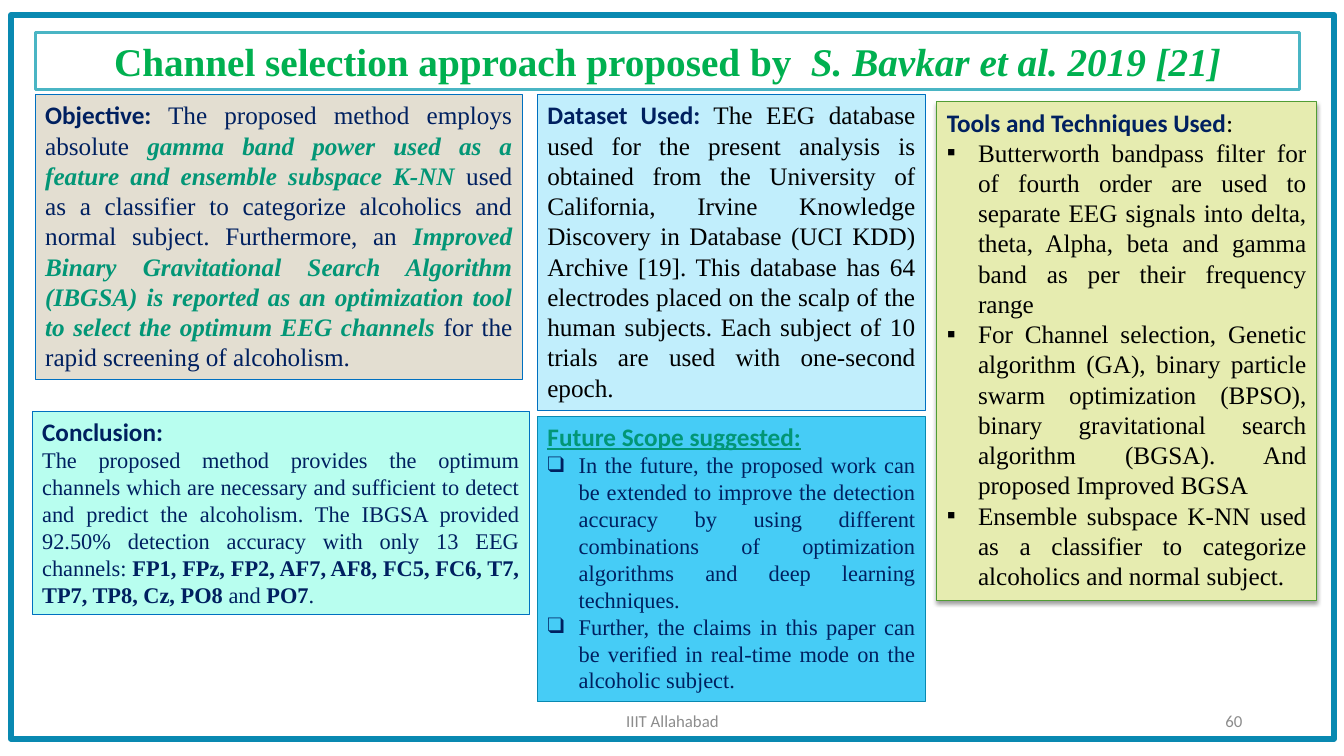
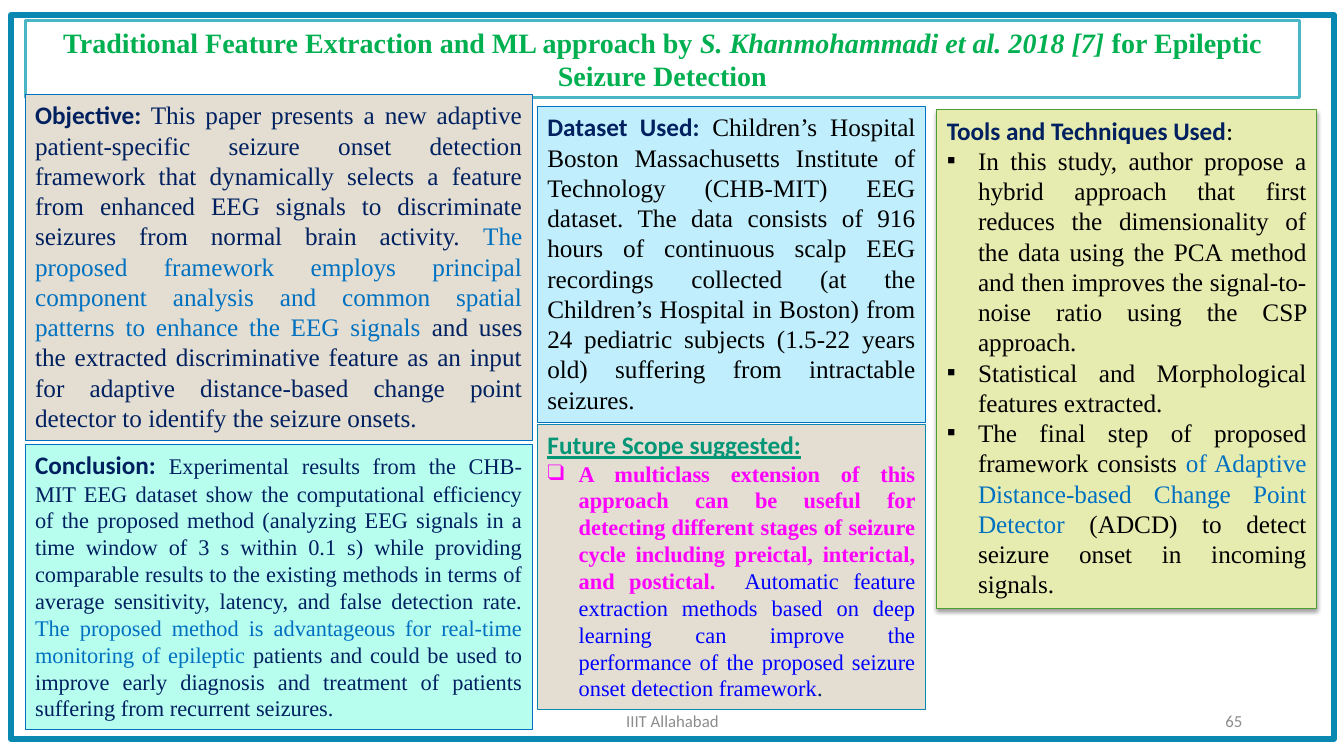
from lxml import etree
from pptx import Presentation
from pptx.dml.color import RGBColor
from pptx.enum.shapes import MSO_SHAPE
from pptx.enum.text import MSO_ANCHOR, MSO_AUTO_SIZE, PP_ALIGN
from pptx.oxml.ns import qn
from pptx.util import Pt

RECTANGLE = MSO_SHAPE.RECTANGLE
TOP, MIDDLE = MSO_ANCHOR.TOP, MSO_ANCHOR.MIDDLE
FIXED = MSO_AUTO_SIZE.NONE
LEFT, CENTER, RIGHT, JUSTIFY = (
    PP_ALIGN.LEFT, PP_ALIGN.CENTER, PP_ALIGN.RIGHT, PP_ALIGN.JUSTIFY)

# Shared scale, fonts and colours
PX = 9144  # 100 px to the inch
TWO_CONTENT_LAYOUT = 3
SERIF, SANS = "Times New Roman", "Calibri"
HEADING_SIZE, SMALL_SIZE, FOOTER_SIZE = 18, 16, 12
LIST_INDENT = 31
SQUARE, CHECKBOX = "▪", "❑"
BLACK, NAVY, BLUE, GREEN = "000000", "002060", "0070C0", "029676"
MAGENTA, BRIGHT_BLUE, GRAY = "FF00FF", "0000FF", "8C8C8C"
TITLE_GREEN, TITLE_LINE, FRAME_BLUE = "00B050", "4AB5C4", "0989B1"
SAND, ICE, MINT, SKY = "E3DED1", "C1EEFC", "B8FEEF", "46CCF6"
LIME, LIME_LINE = "E6ECB0", "519D35"

# Shared columns: left and width
MIDDLE_COLUMN, RIGHT_COLUMN = (533, 385), (929, 377)


def rgb(color):
    return RGBColor.from_string(color)


# Text pieces: (text, font, size, colour, flags), flags from b, i and u
def heading(text, color=NAVY, flags="b"):
    return text, SANS, HEADING_SIZE, color, flags


def prose(text, color=NAVY, flags="", size=HEADING_SIZE):
    return text, SERIF, size, color, flags


def small(text, color=NAVY, flags=""):
    return prose(text, color, flags, SMALL_SIZE)


def set_bullet(paragraph, character):
    properties = paragraph._p.get_or_add_pPr()
    indent = LIST_INDENT * PX if character else 0
    properties.set("marL", str(indent))
    properties.set("indent", str(-indent))
    if character:
        etree.SubElement(properties, qn("a:buFont")).set("typeface", SERIF)
        etree.SubElement(properties, qn("a:buChar")).set("char", character)
    else:
        etree.SubElement(properties, qn("a:buNone"))


def add_paragraph(frame, index, pieces, alignment, bullet=None):
    paragraph = frame.add_paragraph() if index else frame.paragraphs[0]
    set_bullet(paragraph, bullet)
    paragraph.alignment = alignment
    paragraph.space_before = Pt(0)
    for text, font, size, color, flags in pieces:
        run = paragraph.add_run()
        run.text = text
        run.font.name = font
        run.font.size = Pt(size)
        run.font.color.rgb = rgb(color)
        run.font.bold = "b" in flags
        run.font.italic = "i" in flags
        run.font.underline = "u" in flags


def place(shape, box):
    shape.left, shape.top, shape.width, shape.height = (
        length * PX for length in box)


def set_line(shape, color, width):
    shape.line.color.rgb = rgb(color)
    shape.line.width = Pt(width)


def set_frame(shape, anchor=TOP):
    frame = shape.text_frame
    frame.word_wrap = True
    frame.auto_size = FIXED
    frame.vertical_anchor = anchor
    return frame


def style_panel(shape, box, fill, line):
    place(shape, box)
    shape.fill.solid()
    shape.fill.fore_color.rgb = rgb(fill)
    set_line(shape, line, 0.75)
    return set_frame(shape)


def add_shadow(shape):
    effects = etree.SubElement(shape._element.spPr, qn("a:effectLst"))
    shadow = etree.SubElement(
        effects, qn("a:outerShdw"), blurRad=str(Pt(3.1)), dist=str(Pt(1.6)),
        dir="5400000", algn="t", rotWithShape="0")
    color = etree.SubElement(shadow, qn("a:srgbClr"), val=BLACK)
    etree.SubElement(color, qn("a:alpha"), val="38000")


# Border around the slide
def add_border(slide):
    border = slide.shapes.add_shape(RECTANGLE, 0, 0, PX, PX)
    place(border, (11, 15, 1312, 718))
    border.shadow.inherit = False
    border.fill.background()
    set_line(border, FRAME_BLUE, 4.5)


# Outlined title
def fill_title(slide, box, pieces):
    title = slide.shapes.title
    place(title, box)
    set_line(title, TITLE_LINE, 2.25)
    add_paragraph(set_frame(title), 0, pieces, CENTER)


# Coloured panel of justified prose
def add_prose_panel(slide, box, fill, paragraphs):
    panel = slide.shapes.add_textbox(0, 0, PX, PX)
    frame = style_panel(panel, box, fill, BLUE)
    for index, pieces in enumerate(paragraphs):
        add_paragraph(frame, index, pieces, JUSTIFY)


# Coloured panel with a heading over a bulleted list
def fill_list_panel(panel, box, fill, line, header, bullet, items):
    frame = style_panel(panel, box, fill, line)
    add_paragraph(frame, 0, header, LEFT)
    for index, pieces in enumerate(items, 1):
        add_paragraph(frame, index, pieces, JUSTIFY, bullet)


def fill_tools(slide, top, items):
    left, width = RIGHT_COLUMN
    panel = slide.placeholders[1]
    header = [heading("Tools and Techniques Used"), heading(":", BLACK, "")]
    fill_list_panel(panel, (left, top, width, 495), LIME, LIME_LINE,
                    header, SQUARE, items)
    add_shadow(panel)


def fill_future_scope(slide, top, fill, items):
    left, width = MIDDLE_COLUMN
    header = [heading("Future Scope suggested:", GREEN, "bu")]
    fill_list_panel(slide.placeholders[2], (left, top, width, 283), fill,
                    FRAME_BLUE, header, CHECKBOX, items)


def add_dataset(slide, top, text):
    left, width = MIDDLE_COLUMN
    add_prose_panel(slide, (left, top, width, 313), ICE,
                    [[heading("Dataset Used: "), prose(text, BLACK)]])


# Footer and page number
def add_footer(slide, number):
    for text, left, width, alignment in (
            ("IIIT Allahabad", 442, 450, CENTER), (number, 942, 300, RIGHT)):
        label = slide.shapes.add_textbox(0, 0, PX, PX)
        place(label, (left, 695, width, 40))
        piece = (text, SANS, FOOTER_SIZE, GRAY, "")
        add_paragraph(set_frame(label, MIDDLE), 0, [piece], alignment)


def add_review_slide(presentation, title_box, title, number):
    layout = presentation.slide_layouts[TWO_CONTENT_LAYOUT]
    slide = presentation.slides.add_slide(layout)
    add_border(slide)
    fill_title(slide, title_box, title)
    add_footer(slide, number)
    return slide


def add_channel_selection(presentation):
    slide = add_review_slide(presentation, (35, 32, 1254, 57), [
        prose("Channel selection approach proposed by  ", TITLE_GREEN, "b", 28),
        prose("S. Bavkar et al. 2019 [21]", TITLE_GREEN, "bi", 28)], "60")
    add_prose_panel(slide, (35, 94, 483, 283), SAND, [[
        heading("Objective: "),
        prose("The proposed method employs absolute "),
        prose("gamma band power used as a feature and ensemble subspace "
              "K-NN ", GREEN, "bi"),
        prose("used as a classifier to categorize alcoholics and normal "
              "subject. Furthermore, an "),
        prose("Improved Binary Gravitational Search Algorithm (IBGSA) is "
              "reported as an optimization tool to select the optimum EEG "
              "channels ", GREEN, "bi"),
        prose("for the rapid screening of alcoholism.")]])
    add_dataset(
        slide, 94,
        "The EEG database used for the present analysis is obtained from the "
        "University of California, Irvine Knowledge Discovery in Database "
        "(UCI KDD) Archive [19]. This database has 64 electrodes placed on "
        "the scalp of the human subjects. Each subject of 10 trials are used "
        "with one-second epoch.")
    fill_tools(slide, 101, [
        [prose("Butterworth bandpass filter for of fourth order are used to "
               "separate EEG signals into delta, theta, Alpha, beta and gamma "
               "band as per their frequency range", BLACK)],
        [prose("For Channel selection, Genetic algorithm (GA), binary "
               "particle swarm optimization (BPSO), binary gravitational "
               "search algorithm (BGSA). And proposed Improved BGSA", BLACK)],
        [prose("Ensemble subspace K-NN used as a classifier to categorize "
               "alcoholics and normal subject.", BLACK)]])
    add_prose_panel(slide, (32, 408, 493, 202), MINT, [
        [heading("Conclusion:")],
        [small("The proposed method provides the optimum channels which are "
               "necessary and sufficient to detect and predict the "
               "alcoholism. The IBGSA provided 92.50% detection accuracy with "
               "only 13 EEG channels: "),
         small("FP1, FPz, FP2, AF7, AF8, FC5, FC6, T7, TP7, TP8, Cz, PO8 ",
               flags="b"),
         small("and "), small("PO7", flags="b"), small(".")]])
    fill_future_scope(slide, 413, SKY, [
        [small("In the future, the proposed work can be extended to improve "
               "the detection accuracy by using different combinations of "
               "optimization algorithms and deep learning techniques.")],
        [small("Further, the claims in this paper can be verified in "
               "real-time mode on the alcoholic subject.")]])


def add_seizure_detection(presentation):
    slide = add_review_slide(presentation, (25, 20, 1264, 77), [
        prose("Traditional Feature Extraction and ML approach by ",
              TITLE_GREEN, "b", 20),
        prose("S. Khanmohammadi et al. 2018 [7] ", TITLE_GREEN, "bi", 20),
        prose("for Epileptic Seizure Detection", TITLE_GREEN, "b", 20)], "65")
    add_prose_panel(slide, (25, 94, 503, 343), SAND, [[
        heading("Objective: "),
        prose("This paper presents a new adaptive patient-specific seizure "
              "onset detection framework that dynamically selects a feature "
              "from enhanced EEG signals to discriminate seizures from normal "
              "brain activity. "),
        prose("The proposed framework employs principal component analysis "
              "and common spatial patterns to enhance the EEG signals ", BLUE),
        prose("and uses the extracted discriminative feature as an input for "
              "adaptive distance-based change point detector to identify the "
              "seizure onsets.")]])
    add_dataset(
        slide, 106,
        "Children’s Hospital Boston Massachusetts Institute of Technology "
        "(CHB-MIT) EEG dataset. The data consists of 916 hours of continuous "
        "scalp EEG recordings collected (at the Children’s Hospital in "
        "Boston) from 24 pediatric subjects (1.5-22 years old) suffering from "
        "intractable seizures.")
    fill_tools(slide, 109, [
        [prose("In this study, author propose a hybrid approach that first "
               "reduces the dimensionality of the data using the PCA method "
               "and then improves the signal-to-noise ratio using the CSP "
               "approach.", BLACK)],
        [prose("Statistical and Morphological features extracted.", BLACK)],
        [prose("The final step of proposed framework consists ", BLACK),
         prose("of Adaptive Distance-based Change Point Detector ", BLUE),
         prose("(ADCD) to detect seizure onset in incoming signals.", BLACK)]])
    add_prose_panel(slide, (25, 441, 503, 283), MINT, [[
        heading("Conclusion: "),
        small("Experimental results from the CHB-MIT EEG dataset show the "
              "computational efficiency of the proposed method (analyzing EEG "
              "signals in a time window of 3 s within 0.1 s) while providing "
              "comparable results to the existing methods in terms of average "
              "sensitivity, latency, and false detection rate. "),
        small("The proposed method is advantageous for real-time monitoring "
              "of epileptic", BLUE),
        small(" patients and could be used to improve early diagnosis and "
              "treatment of patients suffering from recurrent seizures.")]])
    fill_future_scope(slide, 421, SAND, [[
        small("A multiclass extension of this approach can be useful for "
              "detecting different stages of seizure cycle including "
              "preictal, interictal, and postictal.  ", MAGENTA, "b"),
        small("Automatic feature extraction methods based on deep learning "
              "can improve the performance of the proposed seizure onset "
              "detection framework", BRIGHT_BLUE),
        small(".")]])


def main():
    presentation = Presentation()
    presentation.slide_width = 1333 * PX
    presentation.slide_height = 750 * PX
    add_channel_selection(presentation)
    add_seizure_detection(presentation)
    presentation.save("out.pptx")


if __name__ == "__main__":
    main()
